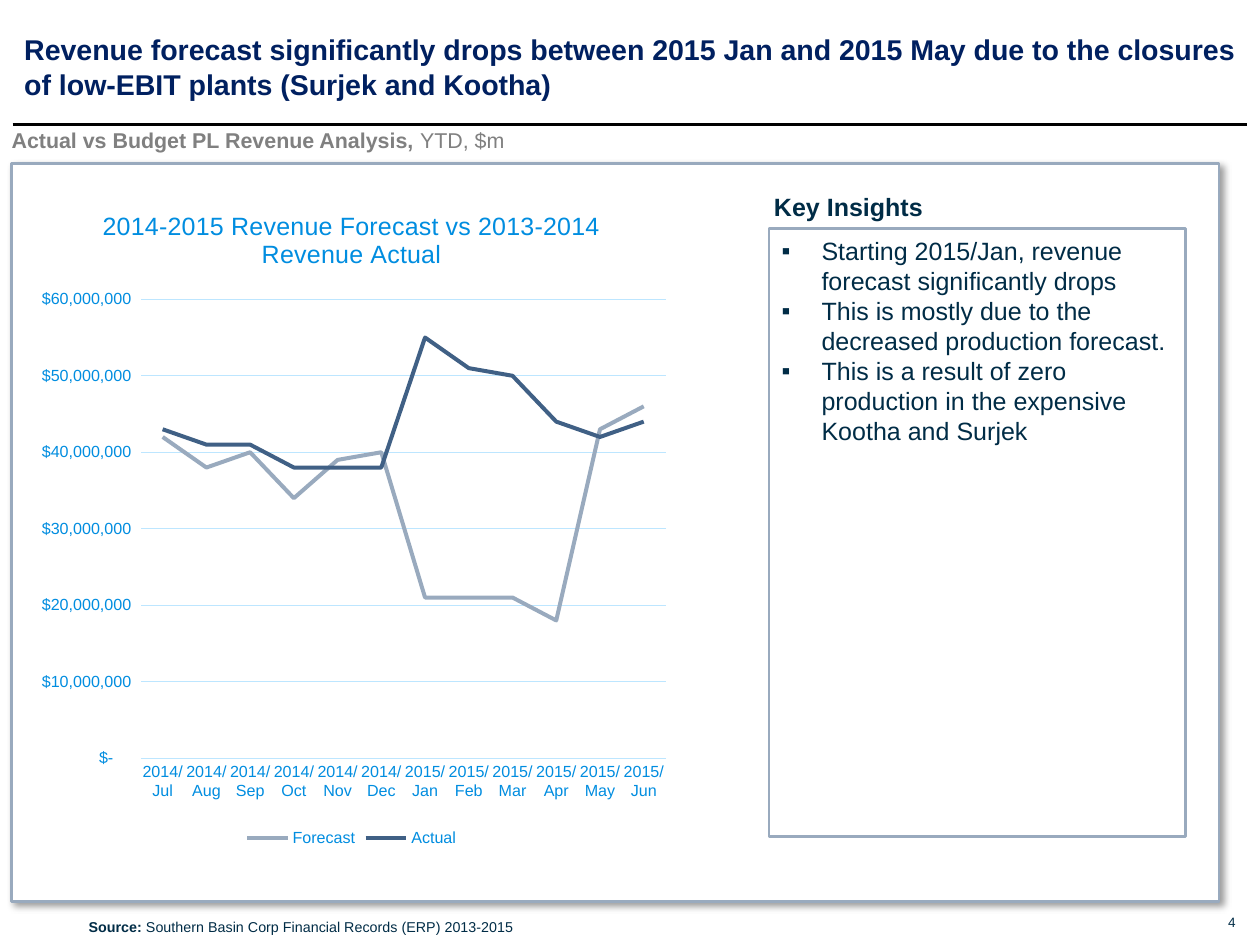
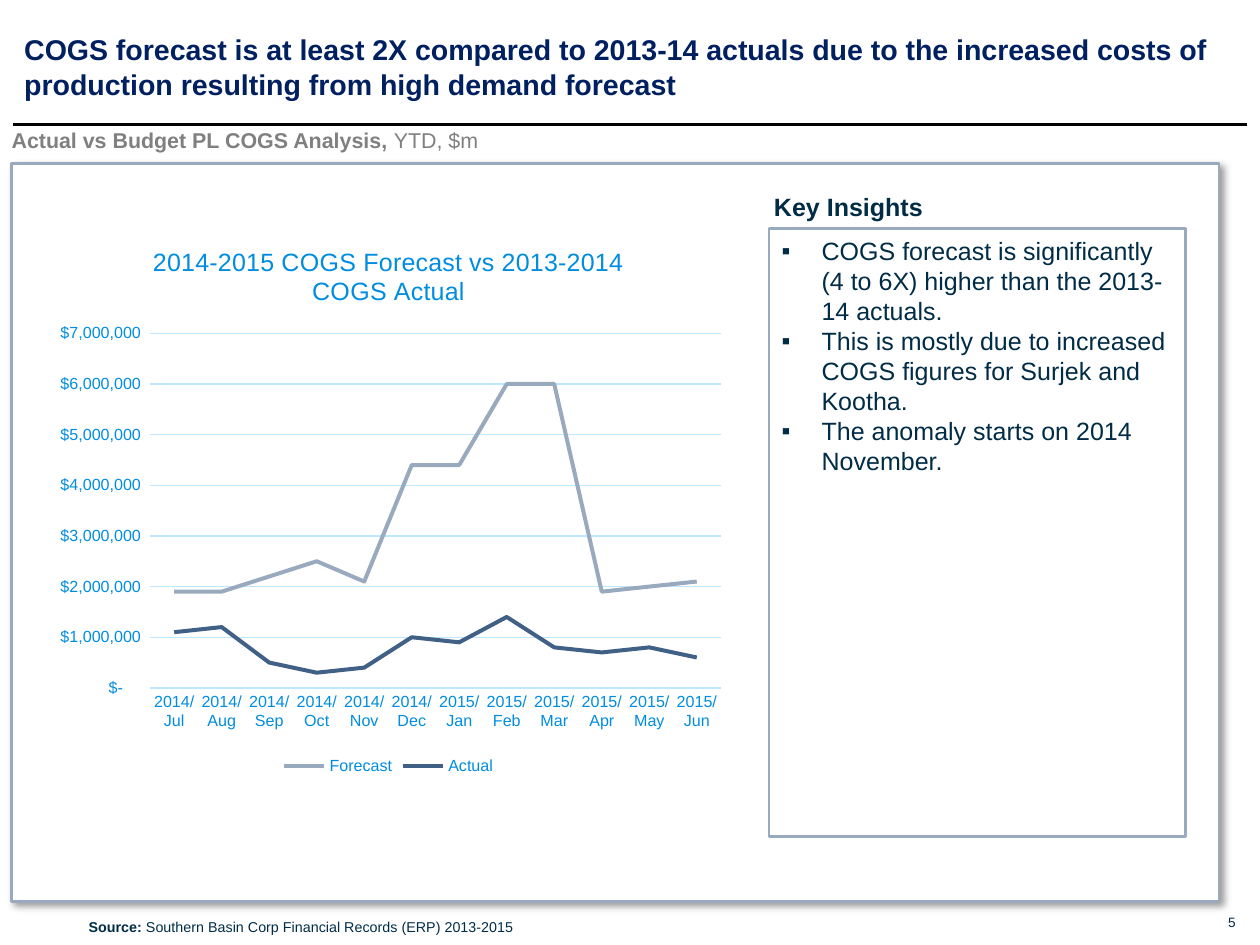
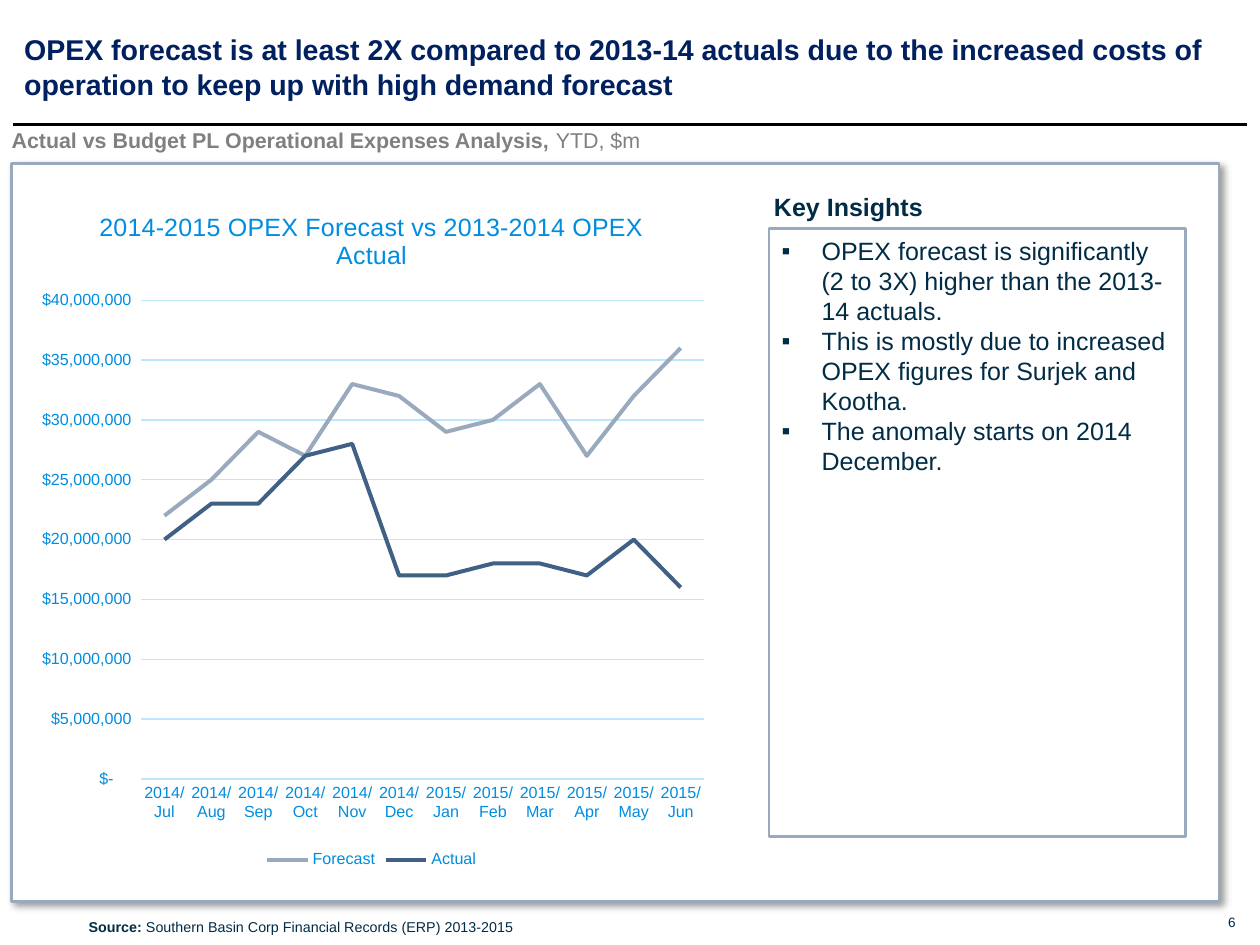
from lxml.etree import SubElement
from pptx import Presentation
from pptx.chart.data import CategoryChartData
from pptx.dml.color import RGBColor
from pptx.enum.chart import XL_CHART_TYPE, XL_LEGEND_POSITION, XL_TICK_MARK
from pptx.enum.shapes import MSO_CONNECTOR, MSO_SHAPE
from pptx.enum.text import MSO_ANCHOR, PP_ALIGN
from pptx.oxml.ns import qn
from pptx.util import Cm, Pt

NAVY = RGBColor(0x00, 0x20, 0x60)
INK = RGBColor(0x00, 0x2C, 0x46)
GRAY = RGBColor(0x80, 0x80, 0x80)
BLACK = RGBColor(0x00, 0x00, 0x00)
WHITE = RGBColor(0xFF, 0xFF, 0xFF)
STEEL = RGBColor(0x99, 0xAA, 0xBE)
DENIM = RGBColor(0x40, 0x60, 0x85)
AZURE = RGBColor(0x00, 0x8D, 0xE0)
PALE_BLUE = RGBColor(0xBD, 0xE6, 0xFF)

FONT = "Arial"
TITLE = {"size": Pt(16), "bold": True, "color": NAVY}
SUBTITLE = {"size": Pt(12), "color": GRAY}
HEADING = {"size": Pt(14), "bold": True, "color": INK}
BODY = {"size": Pt(14), "color": INK}
SOURCE = {"size": Pt(8), "color": INK}
PAGE_NUMBER = {"size": Pt(7.6), "color": INK}
CHART_TITLE = {"size": Pt(14), "bold": False, "color": AZURE}
CHART_LABEL = {"size": Pt(9), "color": AZURE}

NO_INSETS = (0, 0)
INSETS = (0.25, 0.13)
BULLET_INDENT = Cm(0.79)
DOLLARS = '_("$"* #,##0_);_("$"* \\(#,##0\\);_("$"* "-"??_);_(@_)'
MONTHS = [
    f"{year}/{month}"
    for year, months in (
        (2014, "Jul Aug Sep Oct Nov Dec"),
        (2015, "Jan Feb Mar Apr May Jun"),
    )
    for month in months.split()
]
SERIES_COLORS = {"Forecast": STEEL, "Actual": DENIM}
MILLION = 1_000_000

SLIDES = [
    {
        "title": "Revenue forecast significantly drops between 2015 Jan and 2015 May "
        "due to the closures of low-EBIT plants (Surjek and Kootha)",
        "subject": "Revenue",
        "insights": [
            "Starting 2015/Jan, revenue forecast significantly drops",
            "This is mostly due to the decreased production forecast.",
            "This is a result of zero production in the expensive Kootha and Surjek",
        ],
        "chart": {
            "title": "2014-2015 Revenue Forecast vs 2013-2014 Revenue Actual",
            "box": (0.48, 3.66, 12.93, 13.18),
            "plot": {"x": 0.178, "y": 0.171, "w": 0.802, "h": 0.688},
            "scale": {"maximum_scale": 60 * MILLION, "major_unit": 10 * MILLION},
            "Forecast": [42, 38, 40, 34, 39, 40, 21, 21, 21, 18, 43, 46],
            "Actual": [43, 41, 41, 38, 38, 38, 55, 51, 50, 44, 42, 44],
        },
    },
    {
        "title": "COGS forecast is at least 2X compared to 2013-14 actuals due to the "
        "increased costs of production resulting from high demand forecast",
        "subject": "COGS",
        "insights": [
            "COGS forecast is significantly (4 to 6X) higher than the 2013-14 actuals.",
            "This is mostly due to increased COGS figures for Surjek and Kootha.",
            "The anomaly starts on 2014 November.",
        ],
        "chart": {
            "title": "2014-2015 COGS Forecast vs 2013-2014 COGS Actual",
            "box": (0.84, 4.42, 13.67, 11),
            "plot": {"x": 0.156, "y": 0.197, "w": 0.824, "h": 0.637},
            "scale": {"maximum_scale": 7 * MILLION, "major_unit": MILLION},
            "Forecast": [1.9, 1.9, 2.2, 2.5, 2.1, 4.4, 4.4, 6, 6, 1.9, 2, 2.1],
            "Actual": [1.1, 1.2, 0.5, 0.3, 0.4, 1, 0.9, 1.4, 0.8, 0.7, 0.8, 0.6],
        },
    },
    {
        "title": "OPEX forecast is at least 2X compared to 2013-14 actuals due to the "
        "increased costs of operation to keep up with high demand forecast",
        "subject": "Operational Expenses",
        "insights": [
            "OPEX forecast is significantly (2 to 3X) higher than the 2013-14 actuals.",
            "This is mostly due to increased OPEX figures for Surjek and Kootha.",
            "The anomaly starts on 2014 December.",
        ],
        "chart": {
            "title": "2014-2015 OPEX Forecast vs 2013-2014 OPEX Actual",
            "box": (0.48, 3.66, 13.72, 13.61),
            "plot": {"x": 0.168, "y": 0.167, "w": 0.811, "h": 0.695},
            "scale": {"maximum_scale": 40 * MILLION, "major_unit": 5 * MILLION},
            "Forecast": [22, 25, 29, 27, 33, 32, 29, 30, 33, 27, 32, 36],
            "Actual": [20, 23, 23, 27, 28, 17, 17, 18, 18, 17, 20, 16],
        },
    },
]


def lengths(box):
    return [Cm(value) for value in box]


def set_attributes(target, values):
    for name, value in values.items():
        setattr(target, name, value)


def set_font(font, style):
    for name, value in {"name": FONT, **style}.items():
        if name == "color":
            font.color.rgb = value
        else:
            setattr(font, name, value)


def set_line(line, color, width):
    line.color.rgb = color
    line.width = Pt(width)


def set_frame(frame, insets, anchor=MSO_ANCHOR.TOP):
    horizontal, vertical = lengths(insets)
    set_attributes(frame, {
        "word_wrap": True,
        "vertical_anchor": anchor,
        "margin_left": horizontal,
        "margin_right": horizontal,
        "margin_top": vertical,
        "margin_bottom": vertical,
    })


def add_run(paragraph, text, style):
    run = paragraph.add_run()
    run.text = text
    set_font(run.font, style)


def add_text(slide, box, runs, insets=NO_INSETS, anchor=MSO_ANCHOR.TOP, align=PP_ALIGN.LEFT):
    frame = slide.shapes.add_textbox(*lengths(box)).text_frame
    set_frame(frame, insets, anchor)
    paragraph = frame.paragraphs[0]
    paragraph.alignment = align
    for text, style in runs:
        add_run(paragraph, text, style)


def add_box(slide, box):
    shape = slide.shapes.add_shape(MSO_SHAPE.RECTANGLE, *lengths(box))
    shape.shadow.inherit = False
    set_line(shape.line, STEEL, 1.5)
    return shape


def add_panel(slide, box):
    panel = add_box(slide, box)
    panel.fill.solid()
    panel.fill.fore_color.rgb = WHITE
    effects = panel.element.spPr.find(qn("a:effectLst"))
    shadow = SubElement(effects, qn("a:outerShdw"), {
        "blurRad": str(Pt(4)),
        "dist": str(Pt(3)),
        "dir": str(45 * 60000),
        "algn": "tl",
        "rotWithShape": "0",
    })
    color = SubElement(shadow, qn("a:srgbClr"), val=str(BLACK))
    SubElement(color, qn("a:alpha"), val="40000")


def add_rule(slide, left, right, top):
    rule = slide.shapes.add_connector(
        MSO_CONNECTOR.STRAIGHT, *lengths((left, top, right, top))
    )
    set_line(rule.line, BLACK, 2)
    SubElement(rule.element.spPr, qn("a:effectLst"))


def add_bullet(paragraph):
    properties = paragraph._p.get_or_add_pPr()
    properties.set("marL", str(BULLET_INDENT))
    properties.set("indent", str(-BULLET_INDENT))
    color = SubElement(properties, qn("a:buClr"))
    SubElement(color, qn("a:srgbClr"), val=str(INK))
    SubElement(properties, qn("a:buFont"), typeface=FONT)
    SubElement(properties, qn("a:buChar"), char="▪")


def add_insights(slide, insights):
    add_text(slide, (15.04, 3.66, 4.24, 0.86), [("Key Insights", HEADING)], INSETS)
    box = add_box(slide, (15.19, 4.52, 8.23, 12.01))
    box.fill.background()
    frame = box.text_frame
    set_frame(frame, INSETS)
    for index, insight in enumerate(insights):
        paragraph = frame.add_paragraph() if index else frame.paragraphs[0]
        paragraph.alignment = PP_ALIGN.LEFT
        add_bullet(paragraph)
        add_run(paragraph, insight, BODY)


def place_plot(chart, plot):
    area = chart._chartSpace.chart.plotArea
    layout = area.find(qn("c:layout"))
    if layout is None:
        layout = SubElement(area, qn("c:layout"))
        area.insert(0, layout)
    manual = SubElement(layout, qn("c:manualLayout"))
    settings = {"layoutTarget": "inner", "xMode": "edge", "yMode": "edge", **plot}
    for name, value in settings.items():
        SubElement(manual, qn(f"c:{name}"), val=str(value))


def format_axes(chart, scale):
    category_axis, value_axis = chart.category_axis, chart.value_axis
    for axis in (category_axis, value_axis):
        set_attributes(axis, {
            "major_tick_mark": XL_TICK_MARK.NONE,
            "minor_tick_mark": XL_TICK_MARK.NONE,
        })
        set_font(axis.tick_labels.font, CHART_LABEL)
    set_line(category_axis.format.line, PALE_BLUE, 0.75)
    set_attributes(value_axis, {"minimum_scale": 0, "has_major_gridlines": True, **scale})
    set_attributes(value_axis.tick_labels, {
        "number_format": DOLLARS,
        "number_format_is_linked": False,
    })
    value_axis.format.line.fill.background()
    set_line(value_axis.major_gridlines.format.line, PALE_BLUE, 0.75)


def add_line_chart(slide, content):
    data = CategoryChartData()
    data.categories = MONTHS
    for name in SERIES_COLORS:
        data.add_series(name, [round(value * MILLION) for value in content[name]])
    chart = slide.shapes.add_chart(
        XL_CHART_TYPE.LINE, *lengths(content["box"]), data
    ).chart
    set_font(chart.font, {"size": Pt(10), "color": INK})
    title = chart.chart_title.text_frame.paragraphs[0]
    add_run(title, content["title"], CHART_TITLE)
    chart.has_legend = True
    set_attributes(chart.legend, {
        "position": XL_LEGEND_POSITION.BOTTOM,
        "include_in_layout": False,
    })
    set_font(chart.legend.font, CHART_LABEL)
    format_axes(chart, content["scale"])
    chart.plots[0].vary_by_categories = False
    for series in chart.plots[0].series:
        series.smooth = False
        set_line(series.format.line, SERIES_COLORS[series.name], 2.25)
    place_plot(chart, content["plot"])


def add_frame(slide, title, subject, number):
    add_rule(slide, 0.25, 24.64, 2.46)
    add_panel(slide, (0.23, 3.23, 23.85, 14.58))
    add_text(slide, (0.48, 0.64, 24, 1.37), [(title, TITLE)])
    add_text(slide, (0.23, 2.51, 20.09, 0.51), [
        (f"Actual vs Budget PL {subject} Analysis, ", {**SUBTITLE, "bold": True}),
        ("YTD, $m", SUBTITLE),
    ])
    add_text(slide, (1.5, 18.01, 9.22, 0.61), [
        ("Source: ", {**SOURCE, "bold": True}),
        ("Southern Basin Corp Financial Records (ERP) 2013-2015", SOURCE),
    ], INSETS)
    add_text(slide, (24.08, 18.06, 0.33, 0.33), [(str(number), PAGE_NUMBER)],
             anchor=MSO_ANCHOR.MIDDLE, align=PP_ALIGN.RIGHT)


def main():
    presentation = Presentation()
    set_attributes(presentation, {"slide_width": Cm(24.89), "slide_height": Cm(18.67)})
    for number, content in enumerate(SLIDES, start=4):
        slide = presentation.slides.add_slide(presentation.slide_layouts[6])
        add_frame(slide, content["title"], content["subject"], number)
        add_insights(slide, content["insights"])
        add_line_chart(slide, content["chart"])
    presentation.save("out.pptx")


if __name__ == "__main__":
    main()
